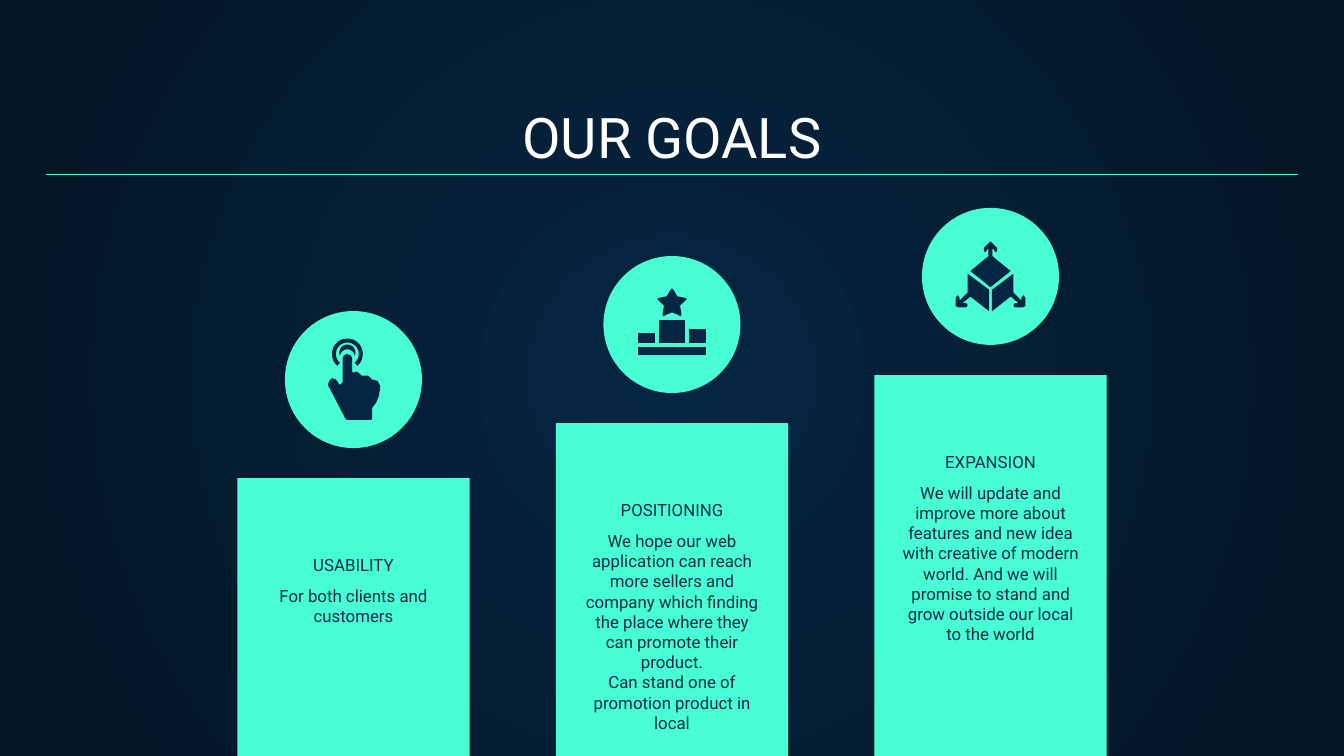
from dataclasses import dataclass
from math import cos, radians, sin

from lxml.etree import SubElement
from pptx import Presentation
from pptx.dml.color import RGBColor
from pptx.enum.shapes import MSO_CONNECTOR, MSO_SHAPE
from pptx.enum.text import MSO_ANCHOR, PP_ALIGN
from pptx.oxml.ns import qn
from pptx.shapes.autoshape import Shape
from pptx.slide import Slide
from pptx.util import Cm, Pt

COLORS = {"mint": "48FFD5", "navy": "052643", "night": "041523",
          "ink": "0E2A47", "white": "FFFFFF"}

Point = tuple[float, float]
Outline = list[Point]

SLIDE_WIDTH, SLIDE_HEIGHT = 25.4, 14.29
FIRST_CENTER, COLUMN_STEP = 6.68, 6.02
BAR_WIDTH, BAR_BOTTOM = 4.39, 14.37
CIRCLE_SIZE, CIRCLE_RISE = 2.59, 3.16
HEADING_WIDTH, HEADING_HEIGHT, HEADING_DROP = 5.77, 0.53, 1.49
BODY_WIDTH, BODY_DROP = 3.86, 1.78
RULE_MARGIN, RULE_TOP = 0.86, 3.3
ICON_UNITS = 10  # freeform steps per icon grid unit


@dataclass(frozen=True)
class Goal:
    heading: str
    body: tuple[str, ...]
    bar_top: float
    body_height: float
    icon: list[Outline]


def mirrored(outline: Outline) -> Outline:
    return [(-x, y) for x, y in outline]


def symmetric(half: Outline) -> Outline:
    """Close a left half with its reflection across the vertical axis."""
    return half + mirrored(half)[::-1]


def arc(center: Point, radius: float, start: int, end: int) -> Outline:
    """Points on a circle, in degrees clockwise from the right."""
    step = 10 if end > start else -10
    return [(center[0] + radius * cos(radians(angle)),
             center[1] + radius * sin(radians(angle)))
            for angle in range(start, end + step, step)]


def block(left: float, top: float, right: float, bottom: float) -> Outline:
    return [(left, top), (right, top), (right, bottom), (left, bottom)]


# Icon grids are centred on their circle; one unit is 0.0254 cm.
HAND = [(-5, -19), (-7, -18), (-8, -16), (-8, 2), (-10, 4), (-11, 3), (-13, 0),
        (-16, -1), (-18, 1), (-19, 4), (-6, 29), (-5, 30), (13, 30), (14, 29),
        (14, 21), (17, 17), (19, 12), (20, 5), (18, 1), (14, 0), (13, -1),
        (11, -3), (7, -3), (6, -3), (4, -5), (2, -6), (0, -5), (-1, -6),
        (-1, -16), (-2, -18)]
TOUCH_ICON = [
    arc((-4.5, -19), 11.5, 130, 410) + arc((-4.5, -19), 8.5, 410, 130),
    arc((-4.5, -20), 6, 160, 380) + arc((-4.5, -17), 5.5, 350, 190),
    HAND,
]
STAR = symmetric([(0, -27), (-1, -26), (-4, -21), (-9, -20), (-11, -19),
                  (-10, -18), (-6, -14), (-7, -8), (-7, -7), (-6, -6),
                  (-5, -7), (0, -9)])
PODIUM_ICON = [STAR, block(-25, 6, -13, 14), block(-10, -3, 10, 14),
               block(13, 3, 25, 14), block(-25, 17, 25, 23)]
CUBE_SIDE = [(17, -2), (1, 10), (1, 26), (15, 15), (21, 20), (18, 20), (17, 21.5),
             (18, 23), (24, 23), (26, 22), (26, 16), (24.5, 14), (23, 16),
             (23, 18), (17, 12)]
CUBE_TOP = symmetric([(0, -26), (-1, -25), (-5, -21), (-5, -19), (-4, -18),
                      (-3, -19), (-1.5, -21), (-1.5, -15), (-15, -4), (0, 8)])
CUBE_ICON = [CUBE_TOP, CUBE_SIDE, mirrored(CUBE_SIDE)]

GOALS = [
    Goal("USABILITY", ("For both clients and customers",), 9.04, 2.1, TOUCH_ICON),
    Goal("POSITIONING",
         ("We hope our web application can reach more sellers and company which "
          "finding the place where they can promote their product.",
          "Can stand one of promotion product in local"),
         8.0, 4.5, PODIUM_ICON),
    Goal("EXPANSION",
         ("We will update and improve more about features and new idea with "
          "creative of modern world. And we will promise to stand and grow "
          "outside our local to the world",),
         7.09, 3.9, CUBE_ICON),
]


def rgb(color: str) -> RGBColor:
    return RGBColor.from_string(COLORS[color])


def paint(shape: Shape, color: str) -> None:
    shape.shadow.inherit = False
    shape.fill.solid()
    shape.fill.fore_color.rgb = rgb(color)
    shape.line.fill.background()


def add_filled(slide: Slide, kind: MSO_SHAPE, center: float, top: float,
               width: float, height: float) -> None:
    shape = slide.shapes.add_shape(kind, Cm(center - width / 2), Cm(top),
                                   Cm(width), Cm(height))
    paint(shape, "mint")


def add_text(slide: Slide, lines: tuple[str, ...], center: float, top: float,
             width: float, height: float, size: float = 9, color: str = "ink",
             anchor: MSO_ANCHOR = MSO_ANCHOR.BOTTOM) -> None:
    box = slide.shapes.add_textbox(Cm(center - width / 2), Cm(top),
                                   Cm(width), Cm(height))
    frame = box.text_frame
    frame_format = {"word_wrap": True, "vertical_anchor": anchor}
    frame_format |= {f"margin_{side}": Cm(0.25)
                     for side in ("left", "right", "top", "bottom")}
    for name, value in frame_format.items():
        setattr(frame, name, value)
    frame.text = "\n".join(lines)
    for paragraph in frame.paragraphs:
        paragraph.alignment = PP_ALIGN.CENTER
        font = paragraph.runs[0].font
        for name, value in {"name": "Roboto", "size": Pt(size)}.items():
            setattr(font, name, value)
        font.color.rgb = rgb(color)


def add_icon(slide: Slide, outlines: list[Outline], center: float, middle: float) -> None:
    for outline in outlines:
        points = [(x * ICON_UNITS, y * ICON_UNITS) for x, y in outline]
        builder = slide.shapes.build_freeform(*points[0], scale=Cm(0.0254) / ICON_UNITS)
        builder.add_line_segments(points[1:], close=True)
        paint(builder.convert_to_shape(Cm(center), Cm(middle)), "navy")


def add_goal(slide: Slide, goal: Goal, center: float) -> None:
    circle_top = goal.bar_top - CIRCLE_RISE
    add_filled(slide, MSO_SHAPE.RECTANGLE, center, goal.bar_top,
               BAR_WIDTH, BAR_BOTTOM - goal.bar_top)
    add_filled(slide, MSO_SHAPE.OVAL, center, circle_top, CIRCLE_SIZE, CIRCLE_SIZE)
    add_icon(slide, goal.icon, center, circle_top + CIRCLE_SIZE / 2)
    add_text(slide, (goal.heading,), center, goal.bar_top + HEADING_DROP,
             HEADING_WIDTH, HEADING_HEIGHT)
    add_text(slide, goal.body, center, goal.bar_top + BODY_DROP,
             BODY_WIDTH, goal.body_height, anchor=MSO_ANCHOR.TOP)


def set_background(slide: Slide) -> None:
    """Radial gradient, light in the middle of the slide."""
    fill = slide.background.fill
    fill.gradient()
    for stop, color in zip(fill.gradient_stops, ("navy", "night")):
        stop.color.rgb = rgb(color)
    gradient = slide.element.find(".//" + qn("a:gradFill"))
    gradient.remove(gradient.find(qn("a:lin")))
    radial = SubElement(gradient, qn("a:path"), {"path": "circle"})
    SubElement(radial, qn("a:fillToRect"), {side: "50000" for side in "ltrb"})


def add_rule(slide: Slide) -> None:
    rule = slide.shapes.add_connector(MSO_CONNECTOR.STRAIGHT, Cm(RULE_MARGIN), Cm(RULE_TOP),
                                      Cm(SLIDE_WIDTH - RULE_MARGIN), Cm(RULE_TOP))
    rule.line.color.rgb = rgb("mint")
    rule.line.width = Pt(0.75)
    SubElement(rule.element.spPr, qn("a:effectLst"))


def main() -> None:
    presentation = Presentation()
    presentation.slide_width = Cm(SLIDE_WIDTH)
    presentation.slide_height = Cm(SLIDE_HEIGHT)
    slide = presentation.slides.add_slide(presentation.slide_layouts[6])
    set_background(slide)
    add_text(slide, ("OUR GOALS",), SLIDE_WIDTH / 2, 1.78,
             SLIDE_WIDTH - 2 * RULE_MARGIN, 1.68, size=30, color="white")
    for index, goal in enumerate(GOALS):
        add_goal(slide, goal, FIRST_CENTER + index * COLUMN_STEP)
    add_rule(slide)
    presentation.save("out.pptx")


if __name__ == "__main__":
    main()
